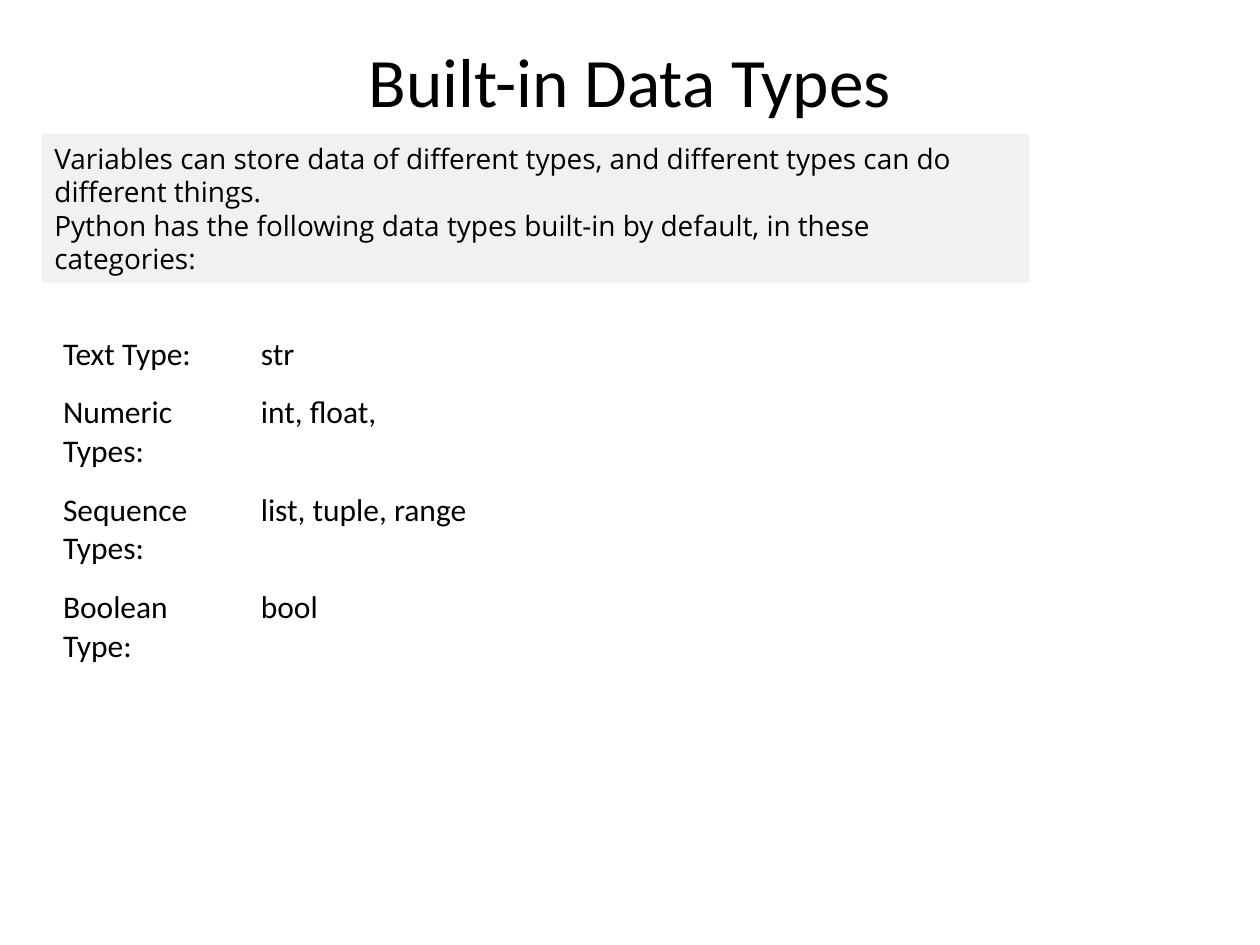
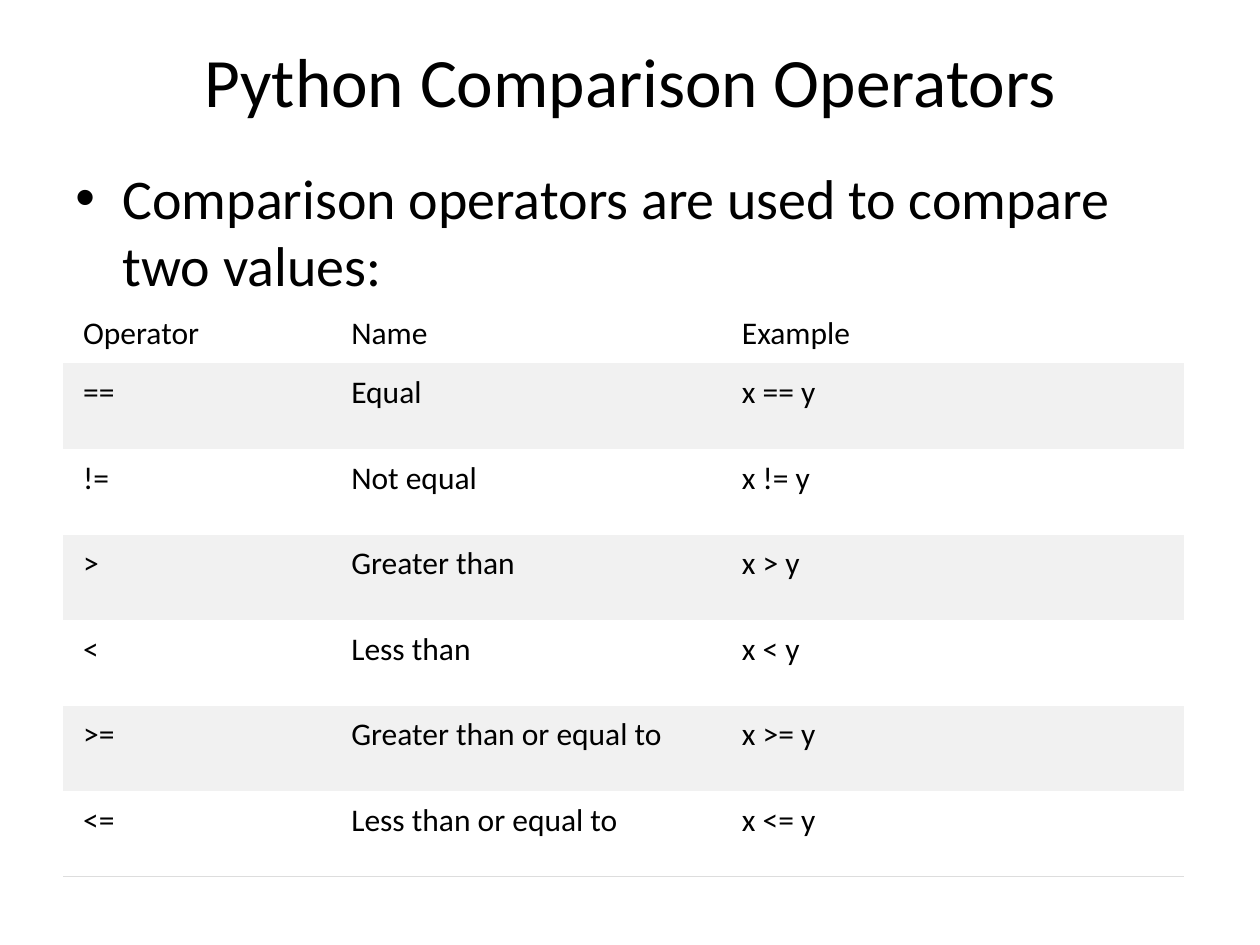
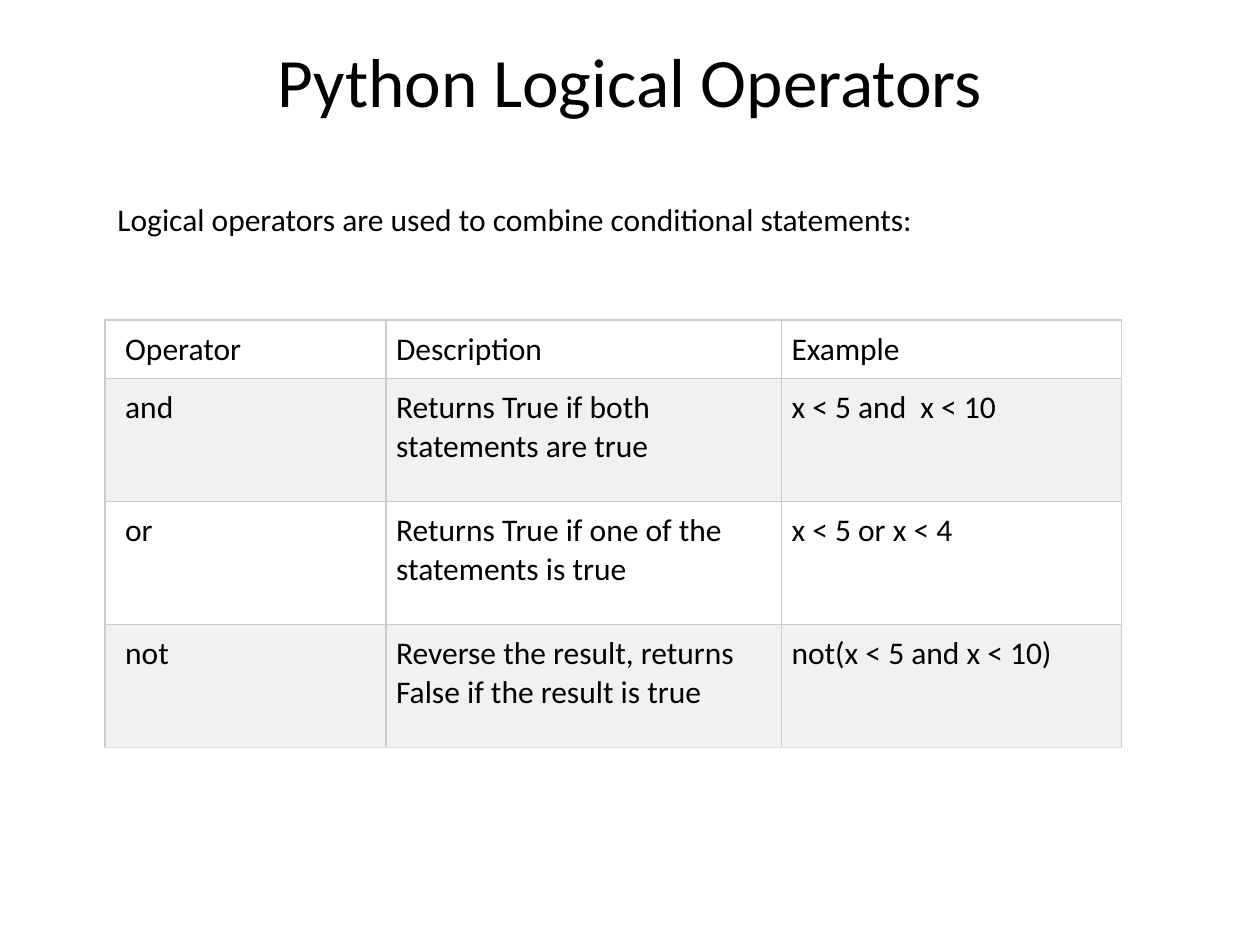
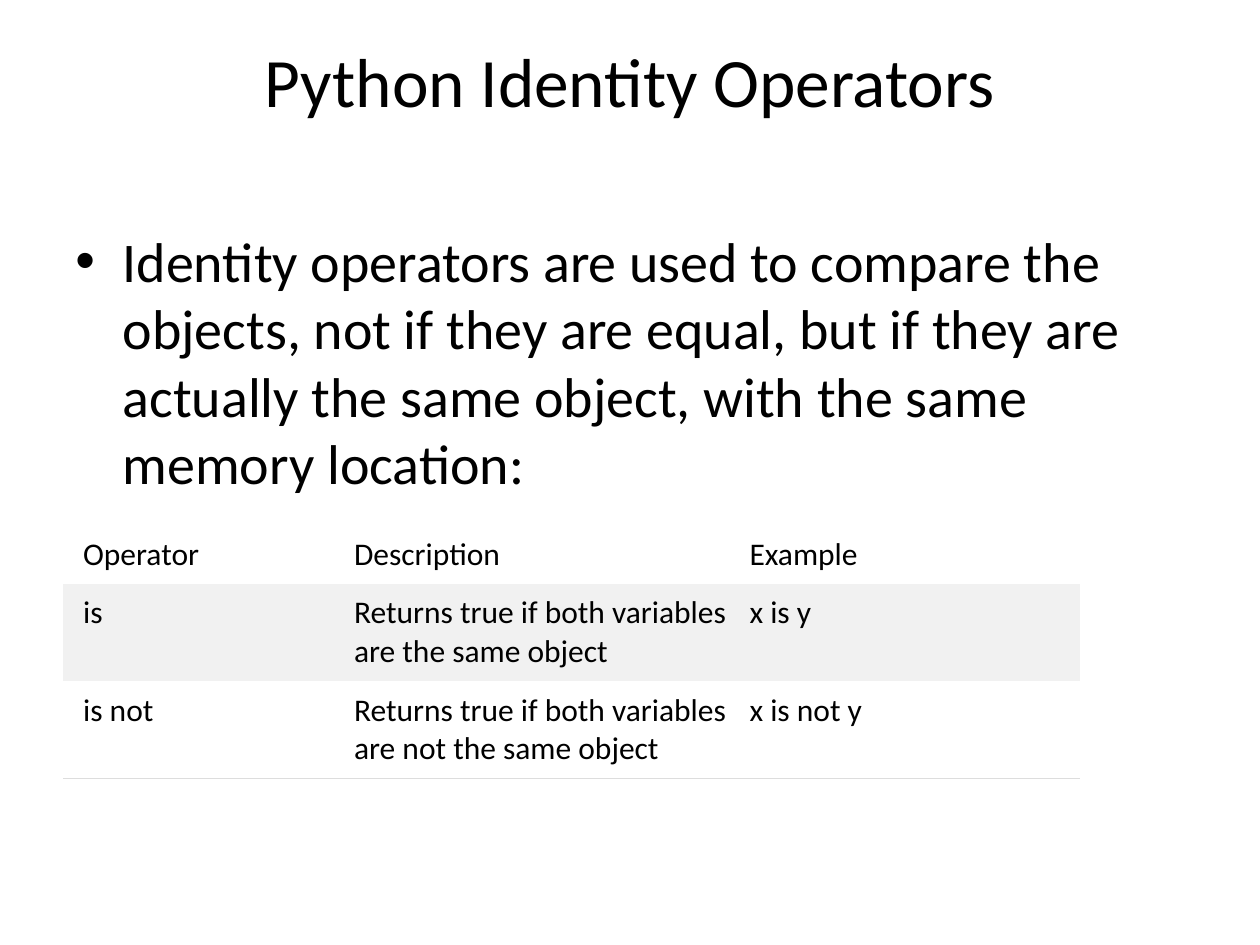
from dataclasses import dataclass

from lxml import etree
from pptx import Presentation
from pptx.dml.color import RGBColor
from pptx.enum.shapes import MSO_SHAPE
from pptx.enum.text import MSO_ANCHOR, PP_ALIGN
from pptx.oxml.ns import qn
from pptx.util import Pt

RECTANGLE = MSO_SHAPE.RECTANGLE
TOP, MIDDLE = MSO_ANCHOR.TOP, MSO_ANCHOR.MIDDLE
LEFT, CENTER = PP_ALIGN.LEFT, PP_ALIGN.CENTER
BLANK_LAYOUT = 6
SIDES = ("L", "R", "T", "B")


@dataclass(frozen=True)
class Theme:
    """Colours, fonts, type sizes and shared measures (points)."""
    ink: str = "000000"
    paper: str = "FFFFFF"
    band: str = "F1F1F1"
    rule: str = "DDDDDD"
    grid: str = "CCCCCC"
    font: str = "Calibri"
    note_font: str = "Open Sans"
    title_size: float = 39.6
    body_size: float = 32
    text_size: float = 18
    note_size: float = 16
    margin: float = 36
    content_width: float = 648
    bullet_indent: float = 27
    line_width: float = 0.75
    cell_pad: float = 5.76
    first_cell_pad: float = 11.52
    header_height: float = 33.5
    two_line_height: float = 55.7


class Deck:
    """Holds the theme, the presentation and the current slide."""

    def __init__(self, theme):
        """Start an empty 4:3 presentation."""
        self.theme = theme
        self.prs = Presentation()
        self.prs.slide_width, self.prs.slide_height = Pt(720), Pt(540)
        self.s = None

    def slide(self, title):
        """Add a slide with a centred title."""
        t = self.theme
        self.s = self.prs.slides.add_slide(self.prs.slide_layouts[BLANK_LAYOUT])
        tf = self.text_box(t.margin, 21.6, t.content_width, 90, title,
                           t.title_size, align=CENTER)
        tf.margin_top = 0

    def paragraph(self, p, text, size, font=None, align=LEFT):
        """Write one run of text into a paragraph."""
        p.alignment = align
        r = p.add_run()
        r.text = text
        r.font.name = font or self.theme.font
        r.font.size = Pt(size)
        r.font.color.rgb = RGBColor.from_string(self.theme.ink)

    def text_box(self, x, y, w, h, text, size, align=LEFT, wrap=True):
        """Add a top-anchored text box and return its text frame."""
        sp = self.s.shapes.add_textbox(Pt(x), Pt(y), Pt(w), Pt(h))
        tf = sp.text_frame
        tf.word_wrap = wrap
        tf.vertical_anchor = TOP
        self.paragraph(tf.paragraphs[0], text, size, align=align)
        return tf

    def bullet(self, y, h, text):
        """Add body text with a hanging bullet."""
        t = self.theme
        tf = self.text_box(t.margin, y, t.content_width, h, text, t.body_size)
        pPr = tf.paragraphs[0]._p.get_or_add_pPr()
        pPr.set("marL", str(Pt(t.bullet_indent)))
        pPr.set("indent", str(-Pt(t.bullet_indent)))
        etree.SubElement(pPr, qn("a:buFont"), typeface="Arial")
        etree.SubElement(pPr, qn("a:buChar"), char="•")

    def note(self, x, y, w, h, lines):
        """Add a shaded panel with one paragraph per line."""
        t = self.theme
        sp = self.s.shapes.add_shape(RECTANGLE, Pt(x), Pt(y), Pt(w), Pt(h))
        sp.shadow.inherit = False
        sp.fill.solid()
        sp.fill.fore_color.rgb = RGBColor.from_string(t.band)
        sp.line.fill.background()
        tf = sp.text_frame
        tf.word_wrap = True
        tf.vertical_anchor = MIDDLE
        for i, line in enumerate(lines):
            p = tf.add_paragraph() if i else tf.paragraphs[0]
            self.paragraph(p, line, t.note_size, t.note_font)

    def borders(self, cell, colors):
        """Draw the sides named in colors and clear the others."""
        tcPr = cell._tc.get_or_add_tcPr()
        for i, side in enumerate(SIDES):
            ln = etree.Element(qn(f"a:ln{side}"), w=str(Pt(self.theme.line_width)))
            if side in colors:
                fill = etree.SubElement(ln, qn("a:solidFill"))
                etree.SubElement(fill, qn("a:srgbClr"), val=colors[side])
            else:
                etree.SubElement(ln, qn("a:noFill"))
            tcPr.insert(i, ln)

    def table(self, x, y, widths, heights, rows, banded=True, edges=None, last_edges=None):
        """Add a table; edges map sides to colours, last_edges serve the last row."""
        t = self.theme
        edges = edges or {}
        frame = self.s.shapes.add_table(len(rows), len(widths), Pt(x), Pt(y),
                                        Pt(sum(widths)), Pt(sum(heights)))
        table = frame.table
        table.first_row = table.horz_banding = False
        for column, width in zip(table.columns, widths):
            column.width = Pt(width)
        for i, (row, height) in enumerate(zip(rows, heights)):
            table.rows[i].height = Pt(height)
            last = i == len(rows) - 1
            for j, text in enumerate(row):
                cell = table.cell(i, j)
                cell.margin_left = Pt(t.cell_pad if j else t.first_cell_pad)
                cell.margin_right = cell.margin_top = cell.margin_bottom = Pt(t.cell_pad)
                cell.vertical_anchor = TOP
                cell.fill.solid()
                shade = t.band if banded and i % 2 else t.paper
                cell.fill.fore_color.rgb = RGBColor.from_string(shade)
                self.borders(cell, last_edges if last and last_edges else edges)
                if text:
                    self.paragraph(cell.text_frame.paragraphs[0], text, t.text_size)

    def ruled_table(self, y, widths, heights, rows):
        """Add a banded table with rules between rows and none above the header."""
        t = self.theme
        self.table(t.margin, y, widths, heights, rows, edges={"B": t.rule})


theme = Theme()
deck = Deck(theme)
description_widths = (160.6, 226, 194.4)

# Data types
deck.slide("Built-in Data Types")
deck.table(24.5, 185.8, (118.8, 529.2),
           [theme.header_height] + [theme.two_line_height] * 3,
           [("Text Type:", "str"),
            ("Numeric Types:", "int,\u00a0float,"),
            ("Sequence Types:", "list,\u00a0tuple,\u00a0range"),
            ("Boolean Type:", "bool")], banded=False)
deck.note(24, 76.5, 564, 85, [
    "Variables can store data of different types, and different types can do different things.",
    "Python has the following data types built-in by default, in these categories:"])

# Comparison operators
deck.slide("Python Comparison Operators")
deck.bullet(90, 120, "Comparison operators are used to compare two values:")
comparisons = [("==", "Equal"), ("!=", "Not equal"), (">", "Greater than"),
               ("<", "Less than"), (">=", "Greater than or equal to"),
               ("<=", "Less than or equal to")]
deck.ruled_table(174.2, (159, 223.2, 192.2, 66),
                 [theme.header_height] + [48.9] * len(comparisons),
                 [("Operator", "Name", "Example", "")]
                 + [(op, name, f"x {op} y", "") for op, name in comparisons])

# Logical operators
deck.slide("Python Logical Operators")
grid = dict.fromkeys(SIDES, theme.grid)
deck.table(60, 182.9, description_widths, [theme.header_height] + [70.3] * 3,
           [("Operator", "Description", "Example"),
            ("and", "Returns True if both statements are true", "x < 5 and\u00a0 x < 10"),
            ("or", "Returns True if one of the statements is true", "x < 5 or x < 4"),
            ("not", "Reverse the result, returns False if the result is true",
             "not(x < 5 and x < 10)")],
           edges=grid, last_edges={**grid, "B": theme.rule})
deck.text_box(60, 111, 474.5, 72.7,
              "Logical operators are used to combine conditional statements:",
              theme.text_size, wrap=False)

# Identity operators
deck.slide("Python Identity Operators")
deck.bullet(126, 356.4,
            "Identity operators are used to compare the objects, not if they are equal, "
            "but if they are actually the same object, with the same memory location:")
deck.ruled_table(300.2, description_widths,
                 [theme.header_height] + [theme.two_line_height] * 2,
                 [("Operator", "Description", "Example"),
                  ("is", "Returns true if both variables are the same object", "x is y"),
                  ("is not", "Returns true if both variables are not the same object",
                   "x is not y")])

deck.prs.save("out.pptx")
